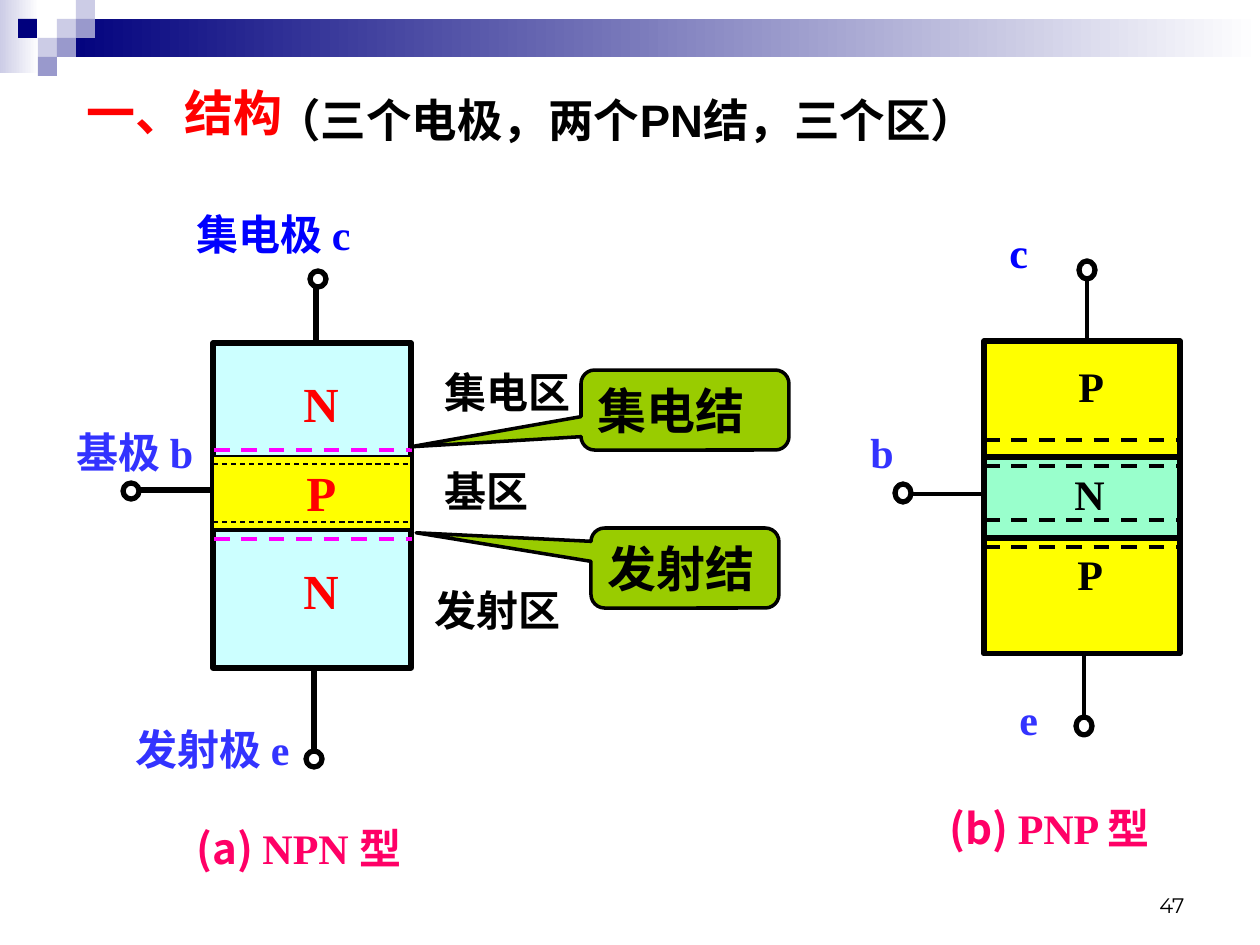
import pptx
import pptx.dml.color
import pptx.enum.dml
import pptx.enum.shapes
import pptx.enum.text
import pptx.oxml.ns
import pptx.util

PX = 914400 / 126
SHAPE = pptx.enum.shapes.MSO_SHAPE
ANCHOR = pptx.enum.text.MSO_ANCHOR
ALIGN = pptx.enum.text.PP_ALIGN
QN = pptx.oxml.ns.qn
SERIF, CJK = "Times New Roman", "Noto Sans CJK SC"
BLACK, RED, BLUE, INDIGO, PINK = "000000", "FF0000", "0000FF", "3333FF", "FF0066"


def emu(*lengths):
    """Turn px lengths into EMU."""
    return [round(v * PX) for v in lengths]


def rgb(value):
    """Turn a hex string into a colour."""
    return pptx.dml.color.RGBColor.from_string(value)


def add_box(s, kind, x, y, w, h, fill=None, width=0):
    """Add a preset shape with an optional fill and black outline."""
    sp = s.shapes.add_shape(kind, *emu(x, y, w, h))
    sp.shadow.inherit = False
    if fill:
        sp.fill.solid()
        sp.fill.fore_color.rgb = rgb(fill)
    else:
        sp.fill.background()
    if width:
        sp.line.color.rgb = rgb(BLACK)
        sp.line.width = pptx.util.Pt(width)
    else:
        sp.line.fill.background()
    return sp


def add_fade(s, x, y, w, h, color):
    """Add a bar that fades to white from left to right."""
    sp = add_box(s, SHAPE.RECTANGLE, x, y, w, h)
    sp.fill.gradient()
    sp.fill.gradient_angle = 0
    for stop, value, position in zip(sp.fill.gradient_stops, (color, "FFFFFF"), (0, 1)):
        stop.color.rgb = rgb(value)
        stop.position = position


def add_line(s, x1, y1, x2, y2, width, color=BLACK, dashed=False):
    """Add a straight line."""
    c = s.shapes.add_connector(pptx.enum.shapes.MSO_CONNECTOR.STRAIGHT, *emu(x1, y1, x2, y2))
    c.line.color.rgb = rgb(color)
    c.line.width = pptx.util.Pt(width)
    if dashed:
        c.line.dash_style = pptx.enum.dml.MSO_LINE.DASH
    c._element.spPr.append(c._element.makeelement(QN("a:effectLst"), {}))


def write(sp, runs, size, color, bold=True, anchor=ANCHOR.MIDDLE, align=ALIGN.LEFT):
    """Write (text, font) runs into the one paragraph of a shape."""
    tf = sp.text_frame
    tf.word_wrap = True
    tf.vertical_anchor = anchor
    p = tf.paragraphs[0]
    p.alignment = align
    for text, font in runs:
        r = p.add_run()
        r.text = text
        r.font.name = font
        r.font.size = pptx.util.Pt(size)
        r.font.bold = bold
        r.font.color.rgb = rgb(color)
        ea = r.font._element.makeelement(QN("a:ea"), {"typeface": CJK})
        r.font._element.find(QN("a:latin")).addnext(ea)


def add_text(s, x, y, w, h, runs, size, color, **style):
    """Add a text box; a plain string becomes one serif run."""
    if isinstance(runs, str):
        runs = [(runs, SERIF)]
    write(s.shapes.add_textbox(*emu(x, y, w, h)), runs, size, color, **style)


def add_callout(s, x, y, w, h, tip, text):
    """Add a green callout whose tip is given as shares of its size."""
    sp = add_box(s, SHAPE.ROUNDED_RECTANGULAR_CALLOUT, x, y, w, h, "99CC00", 2)
    for i, value in enumerate((*tip, 0.17)):
        sp.adjustments[i] = value
    write(sp, [(text, SERIF)], 28, BLACK)


def header(s, x, y):
    """Draw the top band with its checker squares."""
    add_fade(s, x, y, 39, 73, "CCCCE6")
    add_fade(s, x + 57, y + 19, 1203, 38, "00007D")
    squares = [(57, 19, "CCCCE6"), (76, 0, "CCCCE6"), (76, 19, "9999CC"),
               (38, 38, "CCCCE6"), (18, 19, "00007D"), (57, 38, "9999CC"),
               (38, 57, "9999CC")]
    for dx, dy, color in squares:
        add_box(s, SHAPE.RECTANGLE, x + dx, y + dy, 19, 19, color)


def title(s, x, y):
    """Write the heading and the remark beside it."""
    add_text(s, x, y, 273, 72, "一、结构", 28, RED, anchor=ANCHOR.TOP)
    add_text(s, x + 189, y + 10, 728, 67, [("（三个电极，两个PN结，三个区）", "Arial")],
             26, BLACK, anchor=ANCHOR.TOP)


def npn(s, x, y, w, h):
    """Draw the NPN transistor with its labels and callouts."""
    add_box(s, SHAPE.RECTANGLE, x, y, w, h, "CCFFFF", 3)
    for dy in (114, 187):
        add_line(s, x + 1, y + dy, x + w, y + dy, 2.25)
    for x1, y1, x2, y2 in [(103, -3, 103, -59), (101, 326, 101, 408), (1, 147, -73, 147)]:
        add_line(s, x + x1, y + y1, x + x2, y + y2, 3)
    for dy in (107, 123, 180, 196):
        add_line(s, x + 1, y + dy, x + w + 1, y + dy, 2.25, "FF00FF", True)
    for dx, dy in [(-90, 140), (97, -72), (93, 408)]:
        add_box(s, SHAPE.OVAL, x + dx, y + dy, 16, 16, width=3)
    add_box(s, SHAPE.RECTANGLE, x, y + 113, w, 73, "FFFF00", 0.75)
    for dy in (121, 179):
        add_line(s, x, y + dy, x + w - 1, y + dy, 0.75, dashed=True)
    for dx, dy, text in [(78, 24, "N"), (81, 113, "P"), (78, 211, "N")]:
        add_text(s, x + dx, y + dy, 70, 72, text, 28, RED)
    labels = [(-149, 77, 154, "基极 b", INDIGO), (-29, -141, 220, "集电极 c", BLUE),
              (-90, 374, 189, "发射极 e", INDIGO), (219, 17, 152, "集电区", BLACK),
              (219, 116, 110, "基区", BLACK), (209, 235, 152, "发射区", BLACK)]
    for dx, dy, width, text, color in labels:
        add_text(s, x + dx, y + dy, width, 63, text, 24, color)
    add_callout(s, x + 368, y + 27, 208, 80, (-1.32, 0.46), "集电结")
    add_callout(s, x + 378, y + 185, 188, 80, (-1.43, -0.44), "发射结")
    add_text(s, x - 29, y + 473, 277, 63, [("(a) ", CJK), ("NPN 型", SERIF)],
             24, PINK, anchor=ANCHOR.TOP)


def pnp(s, x, y, w, h):
    """Draw the PNP transistor with its labels."""
    for x1, y1, x2, y2 in [(100, h, 100, 388), (0, 153, -74, 153), (103, 0, 103, -71)]:
        add_line(s, x + x1, y + y1, x + x2, y + y2, 2.25)
    for dx, dy in [(95, -80), (-89, 143), (92, 376)]:
        add_box(s, SHAPE.OVAL, x + dx, y + dy, 16, 18, "FFFFFF", 3)
    end = 116
    for dy, height, color in [(0, end, "FFFF00"), (h - end, end, "FFFF00"),
                              (end, h - 2 * end, "99FFCC")]:
        add_box(s, SHAPE.RECTANGLE, x, y + dy, w, height, color, 3)
    for dy in (99, 125, 179, 206):
        add_line(s, x, y + dy, x + w, y + dy, 2.25, dashed=True)
    labels = [(82, 13, "P", BLACK), (78, 121, "N", BLACK), (81, 201, "P", BLACK),
              (23, 346, "e", INDIGO), (-126, 79, "b", INDIGO), (13, -121, "c", BLUE)]
    for dx, dy, text, color in labels:
        add_text(s, x + dx, y + dy, 58, 63, text, 24, color)
    add_text(s, x - 47, y + 455, 258, 63, [("(b) ", CJK), ("PNP ", SERIF), ("型", CJK)],
             24, PINK, anchor=ANCHOR.TOP)


def main():
    """Build the slide and save it."""
    prs = pptx.Presentation()
    prs.slide_width, prs.slide_height = emu(1260, 945)
    s = prs.slides.add_slide(prs.slide_layouts[6])
    header(s, 0, 0)
    title(s, 74, 76)
    npn(s, 213, 343, 198, 325)
    pnp(s, 984, 341, 196, 313)
    add_text(s, 903, 861, 294, 63, [("47", "Montserrat")], 12, BLACK,
             bold=False, anchor=ANCHOR.BOTTOM, align=ALIGN.RIGHT)
    prs.save("out.pptx")


if __name__ == "__main__":
    main()
